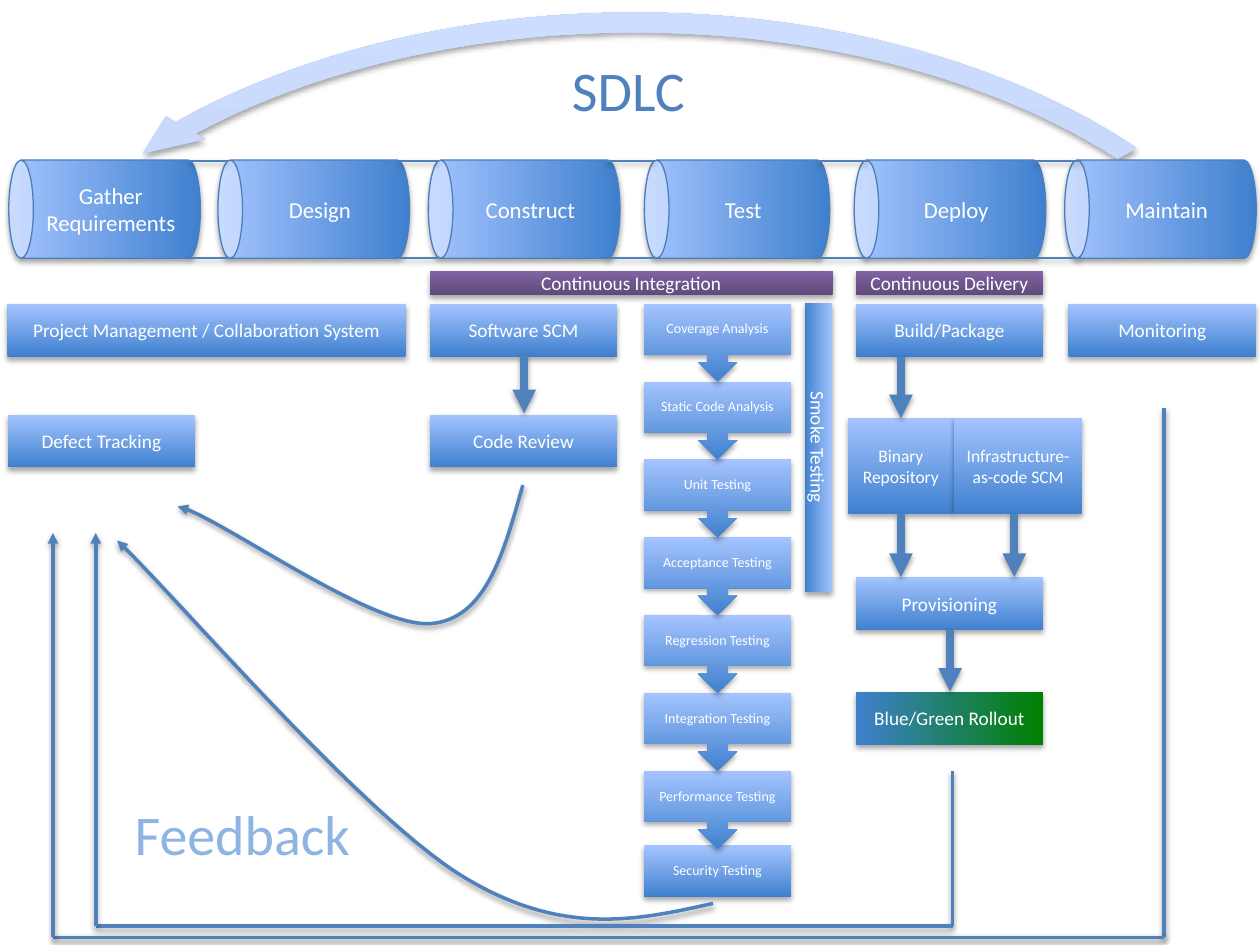
from pptx import Presentation
from pptx import util as u
from pptx.dml.color import RGBColor
from pptx.enum import shapes, text
from pptx.oxml import parse_xml
from pptx.oxml.ns import nsdecls, qn

COLORS = {
    "deep": "3F80CE", "light": "A4C4FF", "green": "008000",
    "plum": "604A7B", "purple": "8064A2", "loop": "ADBFE1", "pale": "CCDDFF",
    "line": "4F81BD", "edge": "4B7EBC", "feedback": "8EB4E3", "white": "FFFFFF",
}
BLUE = ("deep", "light")
PRESET = shapes.MSO_SHAPE


def rgb(name):
    return RGBColor.from_string(COLORS[name])


class Diagram:
    font = "Calibri"

    def __init__(self, slide):
        self.slide = slide
        self.shapes = slide.shapes

    def shadow(self, item, alpha, distance):
        item.element.spPr.append(parse_xml(
            f'<a:effectLst {nsdecls("a")}><a:outerShdw blurRad="40000" dist="{distance}" '
            f'dir="5400000" rotWithShape="0"><a:srgbClr val="000000">'
            f'<a:alpha val="{alpha}000"/></a:srgbClr></a:outerShdw></a:effectLst>'))

    def words(self, frame, content, size, color="white", align=text.PP_ALIGN.CENTER):
        frame.text = content
        paragraph = frame.paragraphs[0]
        paragraph.alignment = align
        font = paragraph.runs[0].font
        font.name, font.size, font.color.rgb = self.font, u.Pt(size), rgb(color)
        return paragraph

    def block(self, box, content="", size=11, preset=PRESET.RECTANGLE, colors=BLUE,
              angle=90, rotation=0, turn_fill=True, edge=None):
        shape = self.shapes.add_shape(preset, *map(u.Inches, box))
        shape.rotation = rotation
        shape.fill.gradient()
        shape.fill.gradient_angle = angle
        for stop, name in zip(shape.fill.gradient_stops, colors):
            stop.color.rgb = rgb(name)
        shape.element.spPr.find(qn("a:gradFill")).set("rotWithShape", str(int(turn_fill)))
        if edge:
            shape.line.color.rgb, shape.line.width = rgb(edge), u.Pt(0.75)
        else:
            shape.line.fill.background()
        self.shadow(shape, 35, 23000)
        if content:
            frame = shape.text_frame
            frame.word_wrap = True
            frame.vertical_anchor = text.MSO_ANCHOR.MIDDLE
            self.words(frame, content, size)
        return shape

    def caption(self, box, content, size, color):
        label = self.shapes.add_textbox(*map(u.Inches, box))
        label.text_frame.word_wrap = False
        label.text_frame.auto_size = text.MSO_AUTO_SIZE.SHAPE_TO_FIT_TEXT
        self.words(label.text_frame, content, size, color, text.PP_ALIGN.LEFT)

    def step_label(self, box, content):
        frame = self.shapes.add_textbox(*map(u.Inches, box)).text_frame
        frame.word_wrap = True
        frame.vertical_anchor = text.MSO_ANCHOR.MIDDLE
        frame.margin_left = frame.margin_right = u.Inches(0.06)
        frame.margin_top = frame.margin_bottom = u.Inches(0.06)
        self.words(frame, content, 8).line_spacing = 0.9

    def stroke(self, item, width, arrow):
        item.line.color.rgb, item.line.width = rgb("line"), u.Pt(width)
        if arrow:
            item.element.spPr.find(qn("a:ln")).append(
                parse_xml(f'<a:tailEnd {nsdecls("a")} type="triangle"/>'))
        self.shadow(item, 38, 20000)

    def straight(self, start, end, width=2, arrow=False):
        line = self.shapes.add_connector(
            shapes.MSO_CONNECTOR.STRAIGHT, *map(u.Inches, (*start, *end)))
        self.stroke(line, width, arrow)

    def curve(self, points, height):
        """Draw cubic segments; height is that of the curve itself."""
        start, *rest = [tuple(map(u.Inches, point)) for point in points]
        builder = self.shapes.build_freeform(*start)
        builder.add_line_segments(rest, close=False)
        curve = builder.convert_to_shape()
        outline = next(curve.element.iter(qn("a:path")))
        corners = outline.findall(qn("a:lnTo"))
        del outline[1:]
        for first in range(0, len(corners), 3):
            bezier = parse_xml(f'<a:cubicBezTo {nsdecls("a")}/>')
            for corner in corners[first:first + 3]:
                bezier.append(corner[0])
            outline.append(bezier)
        curve.height = u.Inches(height)
        outline.set("h", str(int(curve.height)))
        curve.fill.background()
        self.stroke(curve, 2, True)


prs = Presentation()
prs.slide_width, prs.slide_height = u.Inches(10), u.Inches(7.5)
diagram = Diagram(prs.slides.add_slide(prs.slide_layouts[6]))

# Loop back from maintenance to requirements
loop = diagram.block((-0.47, 0, 11.02, 6.87), preset=PRESET.CIRCULAR_ARROW,
                     colors=("loop", "pale"))
for index, value in enumerate((0.023, 2.738, 195.507, 125.755, 0.026)):
    loop.adjustments[index] = value
loop.element.spPr.find(qn("a:xfrm")).set("flipH", "1")

# Chain of tests, drawn from the last one up
tests = ["Coverage Analysis", "Static Code Analysis", "Unit Testing", "Acceptance Testing",
         "Regression Testing", "Integration Testing", "Performance Testing",
         "Security Testing"]
diagram.shapes = diagram.slide.shapes.add_group_shape().shapes
for index, test in reversed(list(enumerate(tests))):
    top = 2.41 + 0.618 * index
    if test == tests[-1]:
        top = 6.71
        diagram.block((5.11, top, 1.17, 0.41))
    else:
        diagram.block((5.11, top, 1.17, 0.62), preset=PRESET.UP_ARROW_CALLOUT,
                      rotation=180, turn_fill=False)
    diagram.step_label((5.11, top, 1.17, 0.41), test)
diagram.shapes = diagram.slide.shapes

# Tools under each phase
for left, top, width, tool in [
        (3.41, 2.41, 1.49, "Software SCM"), (3.41, 3.29, 1.49, "Code Review"),
        (0.06, 2.41, 3.16, "Project Management / Collaboration System"),
        (6.79, 2.41, 1.49, "Build/Package"), (6.79, 4.58, 1.49, "Provisioning"),
        (8.48, 2.41, 1.49, "Monitoring"), (0.06, 3.29, 1.49, "Defect Tracking")]:
    diagram.block((left, top, width, 0.42), tool)
diagram.block((6.73, 3.32, 0.84, 0.76), "Binary Repository", 10)
diagram.block((7.57, 3.32, 1.02, 0.76), "Infrastructure-as-code SCM", 10)
diagram.block((6.79, 5.49, 1.49, 0.42), "Blue/Green Rollout",
              colors=("deep", "green"), angle=0)
diagram.block((5.35, 3.44, 2.29, 0.22), "Smoke Testing", rotation=90)

# Continuous practices
for left, width, practice in [(3.41, 3.2, "Continuous Integration"),
                              (6.79, 1.49, "Continuous Delivery")]:
    diagram.block((left, 2.15, width, 0.19), practice, colors=("plum", "purple"))

# Flow arrows between tools
for x, top, bottom in [(7.15, 2.83, 3.32), (7.54, 5, 5.49), (4.16, 2.82, 3.28),
                       (7.15, 4.08, 4.58), (8.05, 4.08, 4.58)]:
    diagram.straight((x, top), (x, bottom), 4.5, True)

# Feedback routes
diagram.curve([(5.66, 7.17), (5.07, 7.3), (4.47, 7.44), (3.68, 6.96),
               (2.89, 6.48), (1.36, 4.69), (0.93, 4.29)], 3.01)
diagram.curve([(4.15, 3.85), (4, 4.38), (3.86, 4.92), (3.41, 4.95),
               (2.95, 4.97), (1.69, 4.07), (1.41, 4.02)], 1.09)
for right, top, left, bottom in [(7.56, 6.12, 0.76, 7.35), (9.24, 3.24, 0.42, 7.44)]:
    diagram.straight((right, top), (right, bottom))
    diagram.straight((right, bottom), (left, bottom))
    diagram.straight((left, bottom), (left, 4.23), arrow=True)

# Headings
diagram.caption((0.97, 6.3, 1.94, 0.64), "Feedback", 32, "feedback")
diagram.caption((4.44, 0.39, 1.11, 0.64), "SDLC", 32, "line")

# Phases of the life cycle
for left, length, phase in [
        (0.44, 1.52, "Gather Requirements"), (2.1, 1.52, "Design"),
        (3.77, 1.52, "Construct"), (5.46, 1.47, "Test"),
        (7.15, 1.52, "Deploy"), (8.82, 1.52, "Maintain")]:
    can = diagram.block((left, 1.66 - length / 2, 0.78, length), phase, 13,
                        PRESET.CAN, rotation=270, edge="edge")
    can.element.txBody.find(qn("a:bodyPr")).set("vert", "vert")

# Rails joining the phases
for start, end in [(1.5, 1.81), (3.17, 3.48), (4.81, 5.2), (6.49, 6.89), (8.21, 8.58)]:
    for y in (1.28, 2.05):
        diagram.straight((start, y), (end, y), 1)

prs.save("out.pptx")
